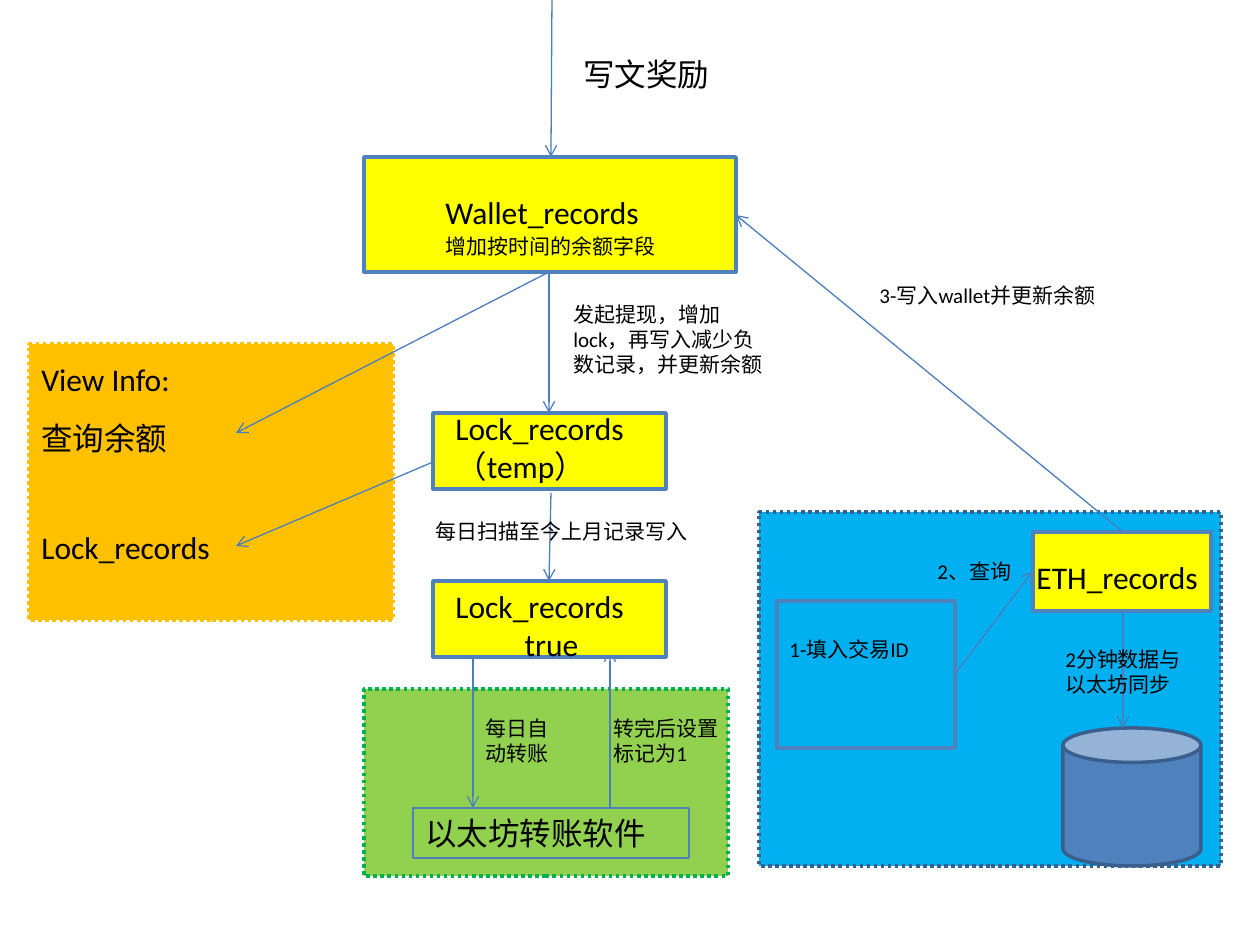
from dataclasses import dataclass
from typing import Optional

from lxml.etree import SubElement
from pptx import Presentation
from pptx.dml.color import RGBColor
from pptx.enum.dml import MSO_LINE_DASH_STYLE as Dash
from pptx.enum.shapes import MSO_CONNECTOR as Connector, MSO_SHAPE as Preset
from pptx.enum.text import MSO_ANCHOR as Anchor, MSO_AUTO_SIZE as AutoSize, PP_ALIGN as Align
from pptx.oxml.ns import qn
from pptx.text.text import TextFrame
from pptx.util import Emu, Pt

PIXEL = 914400 / 126
FONT = "Calibri"
BLACK = RGBColor(0x00, 0x00, 0x00)
BLUE = RGBColor(0x4F, 0x81, 0xBD)
ARROW_BLUE = RGBColor(0x4B, 0x7E, 0xBC)
DARK_BLUE = RGBColor(0x3A, 0x5F, 0x8C)
SKY = RGBColor(0x00, 0xB0, 0xF0)
LIME = RGBColor(0x92, 0xD0, 0x50)
GREEN = RGBColor(0x00, 0xB0, 0x50)
ORANGE = RGBColor(0xFF, 0xC0, 0x00)
YELLOW = RGBColor(0xFF, 0xFF, 0x00)


@dataclass
class Box:
    left: int
    top: int
    width: int
    height: int
    fill: Optional[RGBColor] = YELLOW
    line: RGBColor = BLUE
    weight: float = 2
    dotted: bool = False
    preset: Preset = Preset.RECTANGLE
    text: str = ""


@dataclass
class Arrow:
    x1: int
    y1: int
    x2: int
    y2: int


@dataclass
class Label:
    left: int
    top: int
    width: int
    height: int
    lines: tuple[str, ...]
    size: int = 12
    last_centred: bool = False


# Areas and the boxes behind the arrows
BACK_BOXES = [
    Box(759, 512, 462, 354, SKY, DARK_BLUE, dotted=True),
    Box(777, 601, 178, 147, None),
    Box(1063, 728, 138, 138, BLUE, DARK_BLUE, preset=Preset.CAN),
    Box(364, 689, 364, 187, LIME, GREEN, dotted=True),
    Box(29, 344, 364, 276, ORANGE, ORANGE, dotted=True),
    Box(364, 157, 372, 115),
    Box(433, 413, 233, 76),
    Box(413, 808, 276, 50, None, weight=0.75, text="以太坊转账软件"),
]

ARROWS = [
    Arrow(552, 0, 551, 157),
    Arrow(549, 272, 236, 433),
    Arrow(433, 462, 236, 546),
    Arrow(549, 272, 549, 413),
    Arrow(473, 659, 473, 808),
    Arrow(610, 808, 610, 650),
    Arrow(551, 493, 549, 581),
    Arrow(955, 674, 1033, 571),
    Arrow(1123, 610, 1123, 728),
    Arrow(1123, 532, 736, 215),
]

# Record boxes that cover arrow ends
FRONT_BOXES = [Box(433, 581, 233, 76), Box(1033, 532, 178, 79)]

LABELS = [
    Label(571, 49, 207, 50, ("写文奖励",), 18),
    Label(433, 187, 237, 50, ("Wallet_records",), 18),
    Label(433, 227, 305, 38, ("增加按时间的余额字段",)),
    Label(561, 295, 227, 89, ("发起提现，增加lock，再写入减少负数记录，并更新余额",)),
    Label(443, 403, 217, 89, ("Lock_records（temp）",), 18),
    Label(423, 512, 295, 38, ("每日扫描至今上月记录写入",)),
    Label(443, 581, 217, 89, ("Lock_records", "true"), 18, last_centred=True),
    Label(473, 709, 108, 63, ("每日自动转账",)),
    Label(601, 709, 138, 63, ("转完后设置标记为1",)),
    Label(29, 354, 237, 50, ("View Info:",), 18),
    Label(29, 413, 364, 50, ("查询余额",), 18),
    Label(29, 522, 364, 50, ("Lock_records",), 18),
    Label(867, 276, 256, 38, ("3-写入wallet并更新余额",)),
    Label(925, 552, 147, 38, ("2、查询",)),
    Label(1024, 552, 207, 50, ("ETH_records",), 18),
    Label(777, 630, 168, 38, ("1-填入交易ID",)),
    Label(1053, 640, 207, 63, ("2分钟数据与", "以太坊同步")),
]


def emu(*pixels: int) -> list[Emu]:
    return [Emu(round(value * PIXEL)) for value in pixels]


def write(frame: TextFrame, lines: tuple[str, ...], size: int) -> None:
    frame.word_wrap = True
    frame.auto_size = AutoSize.SHAPE_TO_FIT_TEXT
    frame.vertical_anchor = Anchor.TOP
    for index, line in enumerate(lines):
        paragraph = frame.add_paragraph() if index else frame.paragraphs[0]
        paragraph.alignment = Align.LEFT
        run = paragraph.add_run()
        run.text = line
        run.font.name = FONT
        run.font.size = Pt(size)
        run.font.color.rgb = BLACK


def draw_box(slide, box: Box) -> None:
    shape = slide.shapes.add_shape(box.preset, *emu(box.left, box.top, box.width, box.height))
    shape.shadow.inherit = False
    if box.fill is None:
        shape.fill.background()
    else:
        shape.fill.solid()
        shape.fill.fore_color.rgb = box.fill
    shape.line.color.rgb = box.line
    shape.line.width = Pt(box.weight)
    if box.dotted:
        shape.line.dash_style = Dash.ROUND_DOT
    if box.text:
        write(shape.text_frame, (box.text,), 18)


def draw_arrow(slide, arrow: Arrow) -> None:
    connector = slide.shapes.add_connector(
        Connector.STRAIGHT, *emu(arrow.x1, arrow.y1, arrow.x2, arrow.y2))
    connector.line.color.rgb = ARROW_BLUE
    connector.line.width = Pt(0.75)
    SubElement(connector.line._get_or_add_ln(), qn("a:tailEnd"), type="arrow")
    SubElement(connector._element.spPr, qn("a:effectLst"))


def draw_label(slide, label: Label) -> None:
    text_box = slide.shapes.add_textbox(*emu(label.left, label.top, label.width, label.height))
    write(text_box.text_frame, label.lines, label.size)
    if label.last_centred:
        text_box.text_frame.paragraphs[-1].alignment = Align.CENTER


presentation = Presentation()
presentation.slide_width, presentation.slide_height = emu(1260, 945)
slide = presentation.slides.add_slide(presentation.slide_layouts[6])

for back_box in BACK_BOXES:
    draw_box(slide, back_box)
for flow_arrow in ARROWS:
    draw_arrow(slide, flow_arrow)
for front_box in FRONT_BOXES:
    draw_box(slide, front_box)
for text_label in LABELS:
    draw_label(slide, text_label)

presentation.save("out.pptx")
